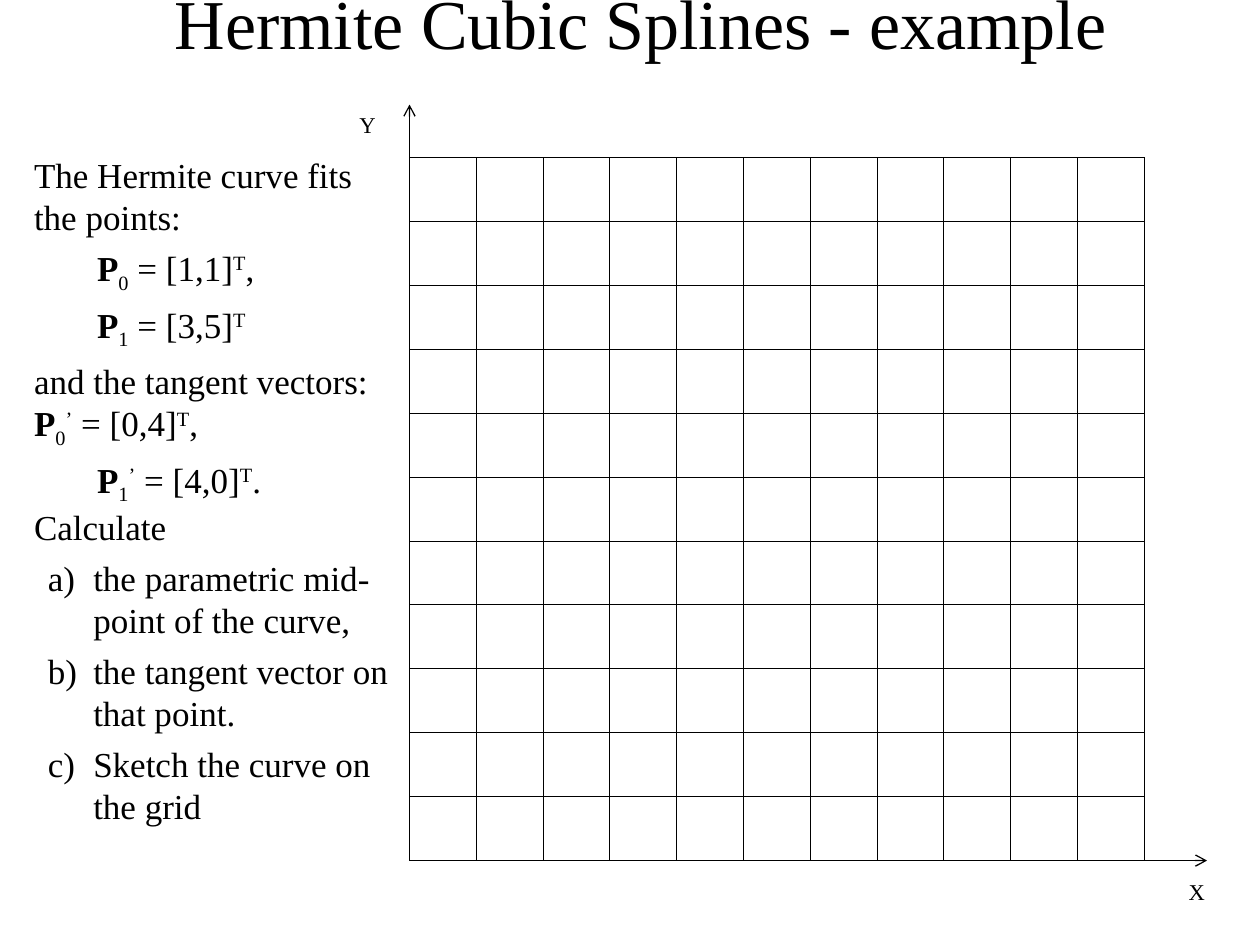
from dataclasses import dataclass

from lxml.etree import SubElement
from pptx import Presentation
from pptx.dml.color import RGBColor
from pptx.enum.shapes import MSO_CONNECTOR
from pptx.enum.text import MSO_ANCHOR, MSO_AUTO_SIZE, PP_ALIGN
from pptx.oxml.ns import qn
from pptx.util import Inches, Pt


@dataclass(frozen=True)
class Theme:
    font: str = "Times New Roman"
    ink: RGBColor = RGBColor(0, 0, 0)
    title: float = 40
    body: float = 20
    label: float = 12.9
    gap: float = 5
    grid: float = 0.45
    axis: float = 0.75


THEME = Theme()
CELLS = 11
SHIFT = {"sub": -25000, "sup": 30000}

# Each paragraph is a list of (text, style) runs.
FACTS = [
    [("The Hermite curve fits the points:", "")],
    [("\tP", "bold"), ("0", "sub"), (" = [1,1]", ""), ("T", "sup"), (",", "")],
    [("\tP", "bold"), ("1", "sub"), (" = [3,5]", ""), ("T", "sup")],
    [("and the tangent vectors: ", ""), ("P", "bold"), ("0", "sub"), ("’", "sup"),
     (" = [0,4]", ""), ("T", "sup"), (",", "")],
    [("\tP", "bold"), ("1", "sub"), ("’", "sup"), (" = [4,0]", ""), ("T", "sup"),
     (".", "")],
    [("Calculate", "")],
]
TASKS = [
    "the parametric mid-point of the curve,",
    "the tangent vector on that point.",
    "Sketch the curve on the grid",
]


def place(shape, box):
    shape.left, shape.top, shape.width, shape.height = map(Inches, box)


def style(font, size):
    font.name = THEME.font
    font.size = Pt(size)
    font.color.rgb = THEME.ink


def add_title(slide, box, text):
    shape = slide.shapes.title
    place(shape, box)
    frame = shape.text_frame
    frame.auto_size = MSO_AUTO_SIZE.NONE
    frame.vertical_anchor = MSO_ANCHOR.BOTTOM
    frame.margin_bottom = Inches(box[3] / 2)
    frame.text = text
    par = frame.paragraphs[0]
    par.alignment = PP_ALIGN.CENTER
    style(par.runs[0].font, THEME.title)


def set_list(par, left, indent, tag, **attrs):
    """Set the indents and the bullet element of a paragraph."""
    props = par._p.get_or_add_pPr()
    props.set("marL", str(Inches(left)))
    props.set("indent", str(Inches(indent)))
    SubElement(props, qn(tag), **attrs)


def fill_par(par, runs):
    for text, look in runs:
        run = par.add_run()
        run.text = text
        style(run.font, THEME.body)
        run.font.bold = look == "bold"
        if look in SHIFT:
            run._r.get_or_add_rPr().set("baseline", str(SHIFT[look]))


def add_body(slide, box):
    shape = slide.placeholders[1]
    place(shape, box)
    frame = shape.text_frame
    frame.auto_size = MSO_AUTO_SIZE.NONE
    frame.word_wrap = True
    rows = FACTS + [[(task, "")] for task in TASKS]
    for num, runs in enumerate(rows):
        par = frame.add_paragraph() if num else frame.paragraphs[0]
        if num < len(FACTS):
            set_list(par, 0, 0, "a:buNone")
        else:
            set_list(par, 0.47, -0.36, "a:buAutoNum", type="alphaLcParenR")
        tight = num in (0, len(FACTS) - 1)
        par.space_before = Pt(0 if tight else THEME.gap)
        fill_par(par, runs)


def add_edges(cell):
    props = cell._tc.get_or_add_tcPr()
    for side in ("L", "R", "T", "B"):
        line = SubElement(props, qn(f"a:ln{side}"), w=str(Pt(THEME.grid)))
        fill = SubElement(line, qn("a:solidFill"))
        SubElement(fill, qn("a:srgbClr"), val=str(THEME.ink))


def add_grid(slide, box):
    table = slide.shapes.add_table(CELLS, CELLS, *map(Inches, box)).table
    table.first_row = table.horz_banding = False
    for col in table.columns:
        col.width = Inches(box[2] / CELLS)
    for row in table.rows:
        row.height = Inches(box[3] / CELLS)
    for cell in table.iter_cells():
        add_edges(cell)
        cell.fill.background()


def add_axis(slide, start, end):
    line = slide.shapes.add_connector(
        MSO_CONNECTOR.STRAIGHT, *map(Inches, start + end))
    line.line.color.rgb = THEME.ink
    line.line.width = Pt(THEME.axis)
    SubElement(line.line._get_or_add_ln(), qn("a:tailEnd"), type="arrow")
    SubElement(line._element.spPr, qn("a:effectLst"))


def add_label(slide, left, top, text):
    size = Inches(0.33)
    frame = slide.shapes.add_textbox(Inches(left), Inches(top), size, size).text_frame
    frame.word_wrap = True
    frame.text = text
    par = frame.paragraphs[0]
    par.alignment = PP_ALIGN.RIGHT
    style(par.runs[0].font, THEME.label)


def add_plot(slide, box):
    """Draw the grid, its two axes and their labels."""
    left, top, width, height = box
    right, base = left + width, top + height
    add_grid(slide, box)
    add_axis(slide, (left, base), (left, top - 0.42))
    add_axis(slide, (left, base), (right + 0.5, base))
    add_label(slide, left - 0.5, top - 0.42, "Y")
    add_label(slide, right + 0.25, base + 0.09, "X")


def main():
    deck = Presentation()
    deck.slide_width, deck.slide_height = Inches(10), Inches(7.5)
    slide = deck.slides.add_slide(deck.slide_layouts[1])
    add_title(slide, (0.5, 0.17, 9.17, 0.67), "Hermite Cubic Splines - example")
    add_body(slide, (0.17, 1.17, 3.08, 5.42))
    add_plot(slide, (3.25, 1.25, 5.83, 5.58))
    deck.save("out.pptx")


if __name__ == "__main__":
    main()
